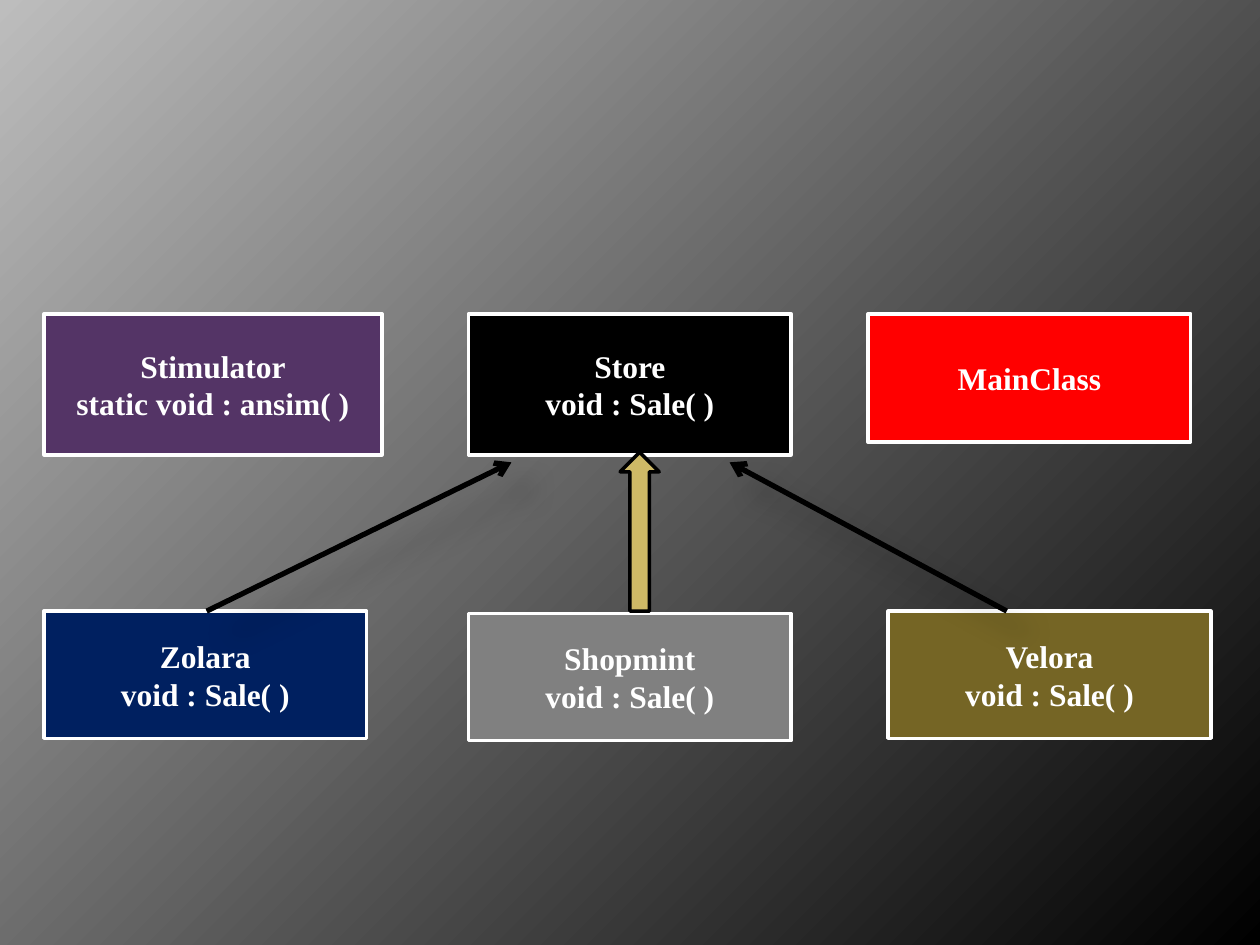
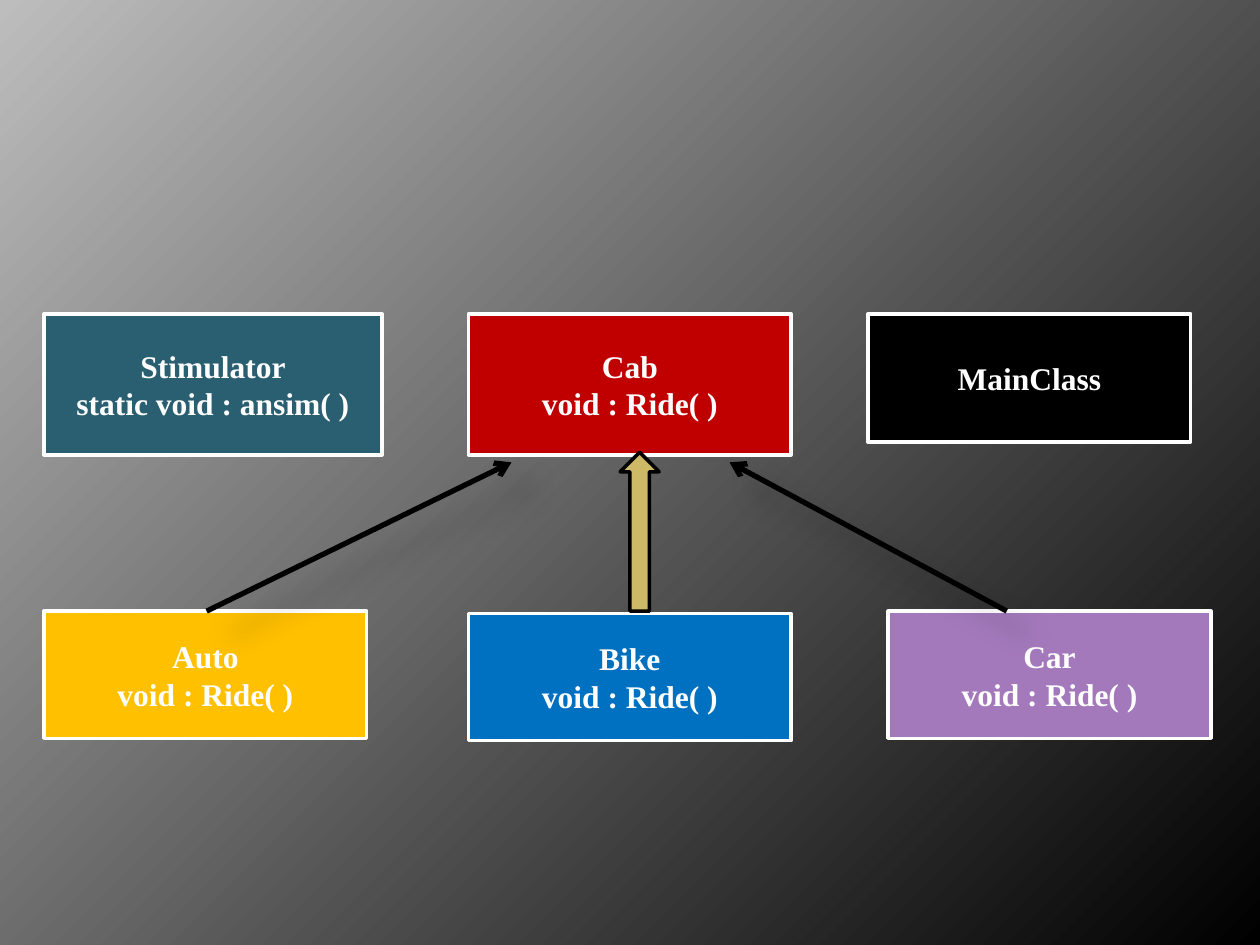
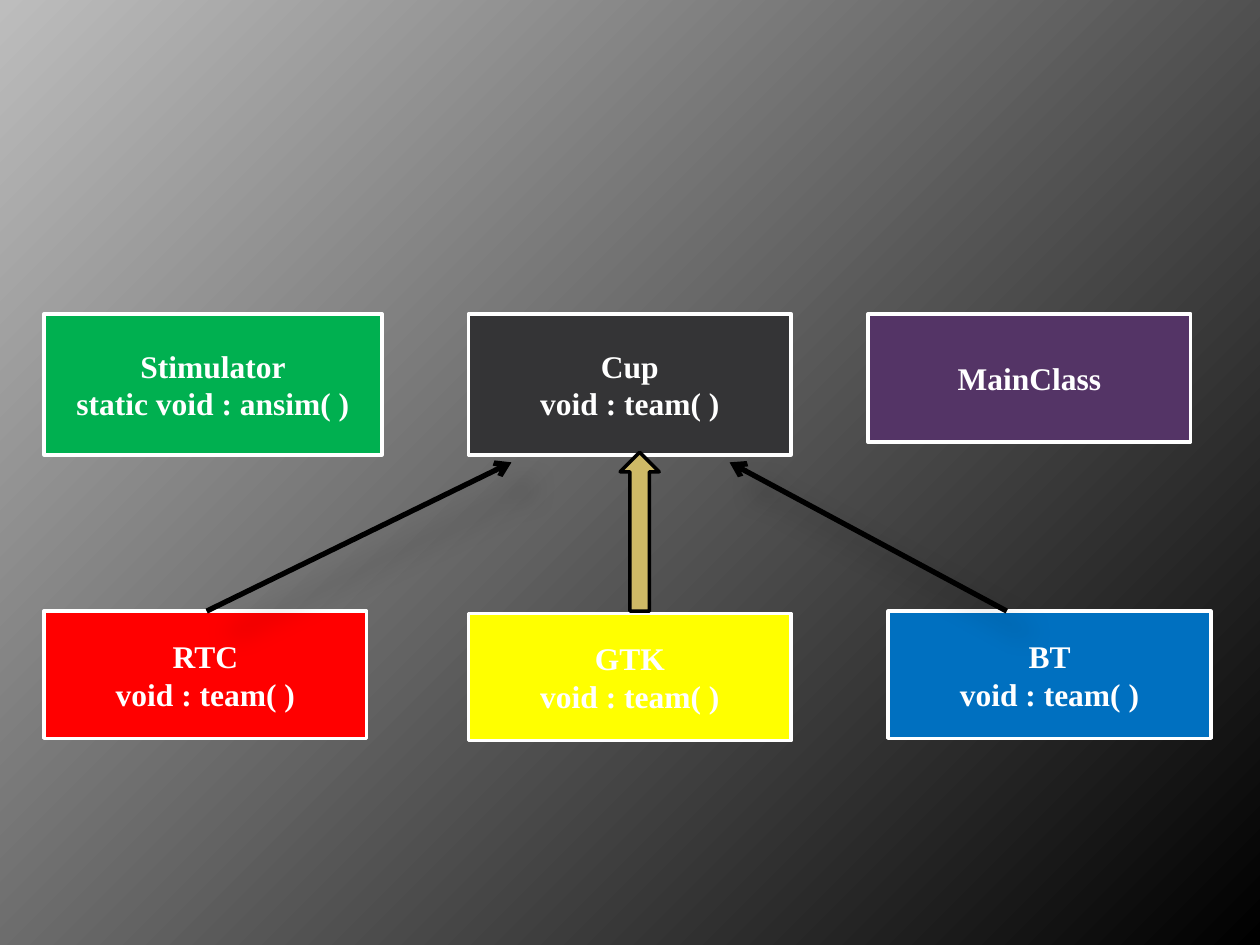
from dataclasses import dataclass

from lxml.etree import SubElement
from pptx import Presentation
from pptx.dml.color import RGBColor
from pptx.enum.shapes import MSO_CONNECTOR as Connector, MSO_SHAPE as Preset
from pptx.enum.text import MSO_ANCHOR as Anchor, PP_ALIGN as Align
from pptx.oxml.ns import qn
from pptx.slide import Slide, SlideMaster
from pptx.util import Pt


@dataclass(frozen=True)
class Theme:
    font: str = "Times New Roman"
    text_size: float = 18
    text: str = "FFFFFF"
    border: str = "FFFFFF"
    border_width: float = 2
    arrow: str = "000000"
    arrow_width: float = 3
    block_arrow: str = "CEB966"
    background: tuple[str, str] = ("BDBDBD", "000000")


@dataclass(frozen=True)
class Frame:
    left: float
    top: float
    width: float
    height: float


@dataclass(frozen=True)
class ClassBox:
    name: str
    fill: str


@dataclass(frozen=True)
class Diagram:
    method: str
    simulator_fill: str
    main_fill: str
    parent: ClassBox
    children: tuple[ClassBox, ClassBox, ClassBox]


THEME = Theme()

# Places shared by every diagram
MAIN_FRAME = Frame(496.1, 179.3, 184.3, 73.4)
SIMULATOR_FRAME = Frame(25.2, 179.3, 193, 80.6)
PARENT_FRAME = Frame(267.8, 179.3, 184.3, 80.6)
CHILD_FRAMES = (
    Frame(25.2, 349.2, 184.3, 72.7),
    Frame(267.8, 350.6, 184.3, 72.7),
    Frame(507.6, 349.2, 184.3, 72.7),
)
BLOCK_ARROW_FRAME = Frame(354.4, 258.5, 22.3, 90.7)
ARROW_START_Y, ARROW_END_Y = 349.2, 264.2
ARROW_SPANS = ((118.1, 292.3), (575.3, 416.9))

DIAGRAMS = (
    Diagram("Sale", "543466", "FF0000", ClassBox("Store", "000000"), (
        ClassBox("Zolara", "002060"),
        ClassBox("Shopmint", "808080"),
        ClassBox("Velora", "756525"),
    )),
    Diagram("Ride", "295F71", "000000", ClassBox("Cab", "C00000"), (
        ClassBox("Auto", "FFC000"),
        ClassBox("Bike", "0070C0"),
        ClassBox("Car", "A379BB"),
    )),
    Diagram("team", "00B050", "543466", ClassBox("Cup", "343436"), (
        ClassBox("RTC", "FF0000"),
        ClassBox("GTK", "FFFF00"),
        ClassBox("BT", "0070C0"),
    )),
)


def color(value: str) -> RGBColor:
    return RGBColor.from_string(value)


def paint_background(master: SlideMaster) -> None:
    """Give the master a gradient that spreads from the top left corner."""
    fill = master.background.fill
    fill.gradient()
    for stop, value in zip(fill.gradient_stops, THEME.background):
        stop.color.rgb = color(value)
    gradient = master.element.find(".//" + qn("a:gradFill"))
    gradient.remove(gradient.find(qn("a:lin")))
    spread = SubElement(gradient, qn("a:path"), {"path": "circle"})
    SubElement(spread, qn("a:fillToRect"), r="100000", b="100000")


def add_preset(page: Slide, preset: Preset, frame: Frame, *, fill: str, line: str):
    box = page.shapes.add_shape(
        preset, Pt(frame.left), Pt(frame.top), Pt(frame.width), Pt(frame.height))
    box.shadow.inherit = False
    box.fill.solid()
    box.fill.fore_color.rgb = color(fill)
    box.line.color.rgb = color(line)
    box.line.width = Pt(THEME.border_width)
    return box


def write_text(frame, text: str, *, size: float = THEME.text_size,
               ink: str = THEME.text, bold: bool = True,
               align: Align = Align.CENTER) -> None:
    """Write each line of the text as a paragraph."""
    frame.word_wrap = True
    frame.vertical_anchor = Anchor.MIDDLE
    frame.text = text
    for para in frame.paragraphs:
        para.alignment = align
        for span in para.runs:
            span.font.name = THEME.font
            span.font.size = Pt(size)
            span.font.bold = bold
            span.font.color.rgb = color(ink)


def add_class(page: Slide, frame: Frame, text: str, fill: str) -> None:
    box = add_preset(page, Preset.RECTANGLE, frame, fill=fill, line=THEME.border)
    write_text(box.text_frame, text)


def add_arrow(page: Slide, start_x: float, end_x: float) -> None:
    """Draw an arrow with a soft shadow from a child to its parent."""
    arrow = page.shapes.add_connector(
        Connector.STRAIGHT, Pt(start_x), Pt(ARROW_START_Y), Pt(end_x), Pt(ARROW_END_Y))
    arrow.line.color.rgb = color(THEME.arrow)
    arrow.line.width = Pt(THEME.arrow_width)
    properties = arrow._element.spPr
    SubElement(properties.find(qn("a:ln")), qn("a:tailEnd"), type="arrow")
    effects = SubElement(properties, qn("a:effectLst"))
    shadow = SubElement(effects, qn("a:outerShdw"), blurRad=str(Pt(15)),
                        dist=str(Pt(18)), dir="2700000", algn="ctr", rotWithShape="0")
    ink = SubElement(shadow, qn("a:srgbClr"), val=THEME.arrow)
    SubElement(ink, qn("a:alpha"), val="26000")


def draw_diagram(page: Slide, diagram: Diagram) -> None:
    # Classes
    add_class(page, MAIN_FRAME, "MainClass", diagram.main_fill)
    add_class(page, SIMULATOR_FRAME, "Stimulator\nstatic void : ansim( )",
              diagram.simulator_fill)
    family = (diagram.parent, *diagram.children)
    for frame, member in zip((PARENT_FRAME, *CHILD_FRAMES), family):
        add_class(page, frame, f"{member.name}\nvoid : {diagram.method}( )", member.fill)

    # Inheritance arrows
    add_preset(page, Preset.UP_ARROW, BLOCK_ARROW_FRAME,
               fill=THEME.block_arrow, line=THEME.arrow)
    for start_x, end_x in ARROW_SPANS:
        add_arrow(page, start_x, end_x)


def main() -> None:
    deck = Presentation()
    deck.slide_width, deck.slide_height = Pt(720), Pt(540)
    paint_background(deck.slide_master)
    blank = deck.slide_layouts.get_by_name("Blank")
    for diagram in DIAGRAMS:
        draw_diagram(deck.slides.add_slide(blank), diagram)
    deck.save("out.pptx")


if __name__ == "__main__":
    main()
